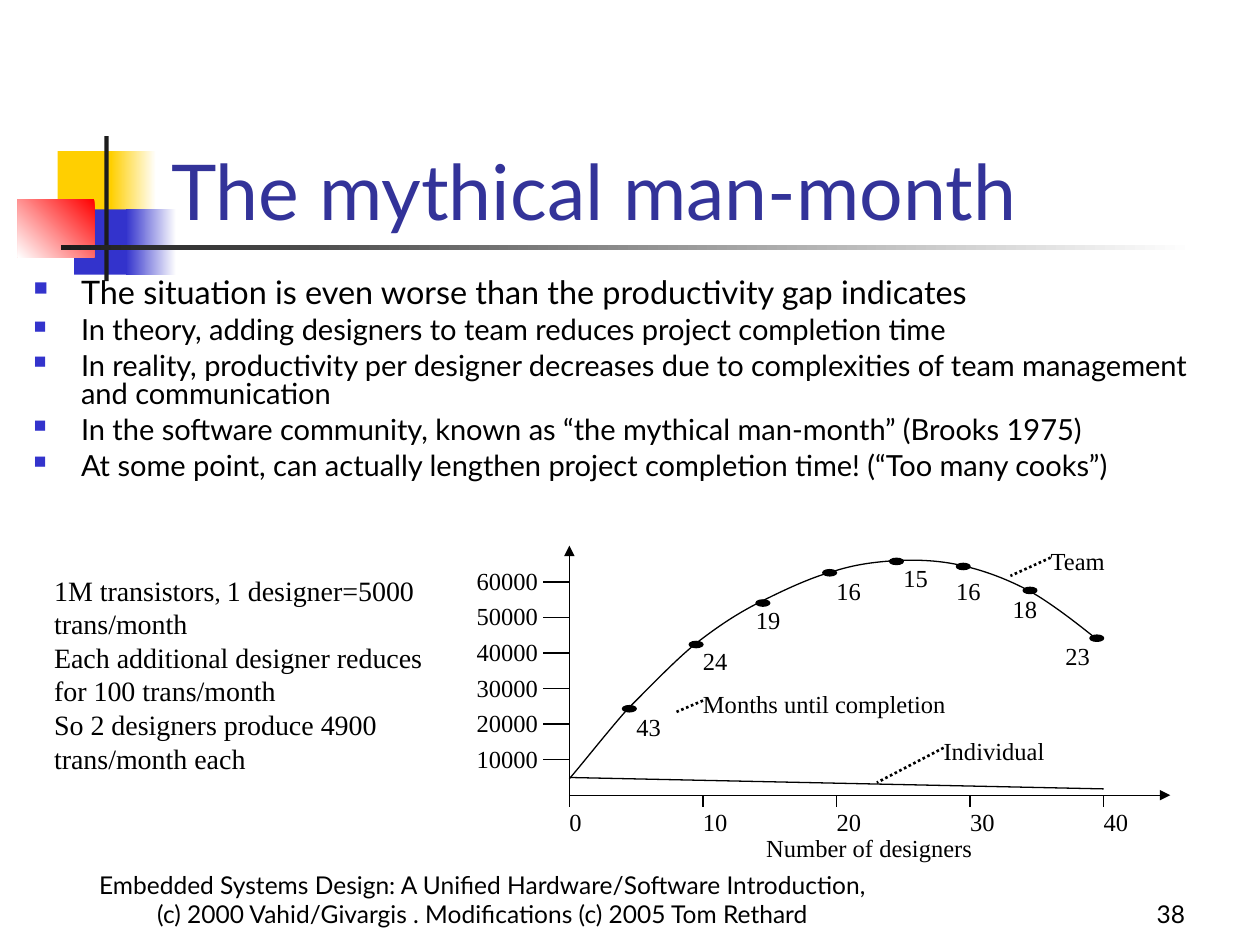
from lxml import etree
from pptx import Presentation
from pptx.dml.color import RGBColor
from pptx.enum.dml import MSO_LINE
from pptx.enum.shapes import MSO_CONNECTOR, MSO_SHAPE
from pptx.enum.text import MSO_ANCHOR, PP_ALIGN
from pptx.oxml.ns import qn
from pptx.util import Pt

RECT, OVAL = MSO_SHAPE.RECTANGLE, MSO_SHAPE.OVAL
STRAIGHT = MSO_CONNECTOR.STRAIGHT
DOTTED = MSO_LINE.ROUND_DOT
TOP, BOTTOM = MSO_ANCHOR.TOP, MSO_ANCHOR.BOTTOM
LEFT, CENTER, RIGHT = PP_ALIGN.LEFT, PP_ALIGN.CENTER, PP_ALIGN.RIGHT

SANS, SERIF = "Lato", "Times New Roman"
BLACK, WHITE, CHARCOAL = "000000", "FFFFFF", "1C1C1C"
YELLOW, BLUE, RED, TITLE_BLUE = "FFCF01", "3333CC", "FF0000", "333399"
LABEL_H = 13.7

# Months until completion: dot top, label left, label top, alignment
TEAM_POINTS = [
    ("43", 91.4, 117.4, 95, LEFT), ("24", 54.7, 155.5, 57.6, LEFT),
    ("19", 31, 185.8, 33.8, LEFT), ("16", 13.7, 231.8, 17.3, LEFT),
    ("15", 7.2, 270, 10.1, LEFT), ("16", 10.1, 300.2, 17.3, LEFT),
    ("18", 23.8, 316.1, 27.4, RIGHT), ("23", 51.1, 346.3, 54.7, RIGHT),
]
# Start, then two control points and an end for each Bézier segment
TEAM_CURVE = [
    (79.2, 133.2),
    (85, 126.7), (100.8, 106.6), (112.3, 93.6),
    (124.6, 81.4), (139, 66.2), (151.2, 56.2),
    (164.2, 46.1), (175, 38.9), (187.9, 32.4),
    (200.9, 25.9), (216, 18.7), (229, 15.1),
    (241.9, 10.8), (253.4, 9.4), (265.7, 8.6),
    (278.6, 7.9), (291.6, 8.6), (303.8, 11.5),
    (316.8, 14.4), (329.8, 19.4), (342, 25.9),
    (355, 33.1), (372.2, 46.8), (379.4, 52.6),
]
# Label, left, top, width, end of its dotted leader
CALLOUTS = [
    ("Team", 354.2, 0, 84.2, (331.2, 17.3)),
    ("Individual", 293, 108.7, 91.4, (254.9, 135.4)),
    ("Months until completion", 155.5, 81.7, 213.8, (140.4, 95)),
]


def color(value):
    return RGBColor.from_string(value)


def add_block(shapes, kind, box, fill, fade=None, angle=0):
    block = shapes.add_shape(kind, *map(Pt, box))
    block.shadow.inherit = False
    block.line.fill.background()
    if fade:
        block.fill.gradient()
        block.fill.gradient_angle = angle
        for stop, value in zip(block.fill.gradient_stops, (fill, fade)):
            stop.color.rgb = color(value)
    else:
        block.fill.solid()
        block.fill.fore_color.rgb = color(fill)
    return block


def add_line(shapes, start, end, width=0.75, arrow=False):
    line = shapes.add_connector(STRAIGHT, *map(Pt, (*start, *end)))
    line.line.color.rgb = color(BLACK)
    line.line.width = Pt(width)
    if arrow:
        etree.SubElement(line.line._get_or_add_ln(), qn("a:tailEnd"), type="triangle")
    etree.SubElement(line._element.spPr, qn("a:effectLst"))
    return line


def add_text(shapes, box, paragraphs, font, tint=BLACK, align=LEFT,
             anchor=TOP, inset=(7.2, 3.6)):
    """Each paragraph is a list of (text, size) runs."""
    text = shapes.add_textbox(*map(Pt, box))
    frame = text.text_frame
    frame.word_wrap = True
    frame.vertical_anchor = anchor
    frame.margin_left = frame.margin_right = Pt(inset[0])
    frame.margin_top = frame.margin_bottom = Pt(inset[1])
    for i, runs in enumerate(paragraphs):
        paragraph = frame.paragraphs[0] if i == 0 else frame.add_paragraph()
        paragraph.alignment = align
        for wording, size in runs:
            run = paragraph.add_run()
            run.text = wording
            run.font.name = font
            run.font.size = Pt(size)
            run.font.color.rgb = color(tint)
    return text


def add_label(shapes, x, y, width, wording, align=LEFT):
    return add_text(shapes, (x, y, width, LABEL_H), [[(wording, 14)]], SERIF,
                    align=align, inset=(0, 0))


def draw_emblem(shapes, x, y):
    # Coloured squares, then the crossing bars
    add_block(shapes, RECT, (x + 23, y + 8.6, 34.6, 37.4), YELLOW)
    add_block(shapes, RECT, (x + 53.3, y + 8.6, 25.9, 37.4), WHITE, YELLOW, 180)
    add_block(shapes, RECT, (x + 32.4, y + 41.8, 33.1, 37.4), BLUE)
    add_block(shapes, RECT, (x + 61.9, y + 41.8, 28.8, 37.4), WHITE, BLUE, 180)
    add_block(shapes, RECT, (x, y + 36, 43.9, 33.1), RED, WHITE, 225)
    add_block(shapes, RECT, (x + 49.7, y, 2.5, 82.8), CHARCOAL)
    add_block(shapes, RECT, (x + 24.8, y + 62.4, 648, 2.5), WHITE, CHARCOAL, 180)


def draw_bullets(shapes, box):
    points = [
        ("The situation is even worse than the productivity gap indicates", 18.5),
        ("In theory, adding designers to team reduces project completion time", 16.6),
        ("In reality, productivity per designer decreases due to complexities of "
         "team management and communication", 16.6),
        ("In the software community, known as “the mythical man-month” "
         "(Brooks 1975)", 16.6),
        ("At some point, can actually lengthen project completion time! "
         "(“Too many cooks”)", 16.6),
    ]
    body = add_text(shapes, box, [[point] for point in points], SANS)
    for i, paragraph in enumerate(body.text_frame.paragraphs):
        props = paragraph._p.get_or_add_pPr()
        props.set("marL", str(Pt(27)))
        props.set("indent", str(Pt(-27)))
        tint = etree.SubElement(props, qn("a:buClr"))
        etree.SubElement(tint, qn("a:srgbClr"), val=BLUE)
        etree.SubElement(props, qn("a:buSzPct"), val="60000")
        etree.SubElement(props, qn("a:buChar"), char="■")
        paragraph.line_spacing = 0.8
        if i:
            paragraph.space_before = Pt(4.5)


def draw_team_curve(shapes, x, y):
    points = [(Pt(x + px), Pt(y + py)) for px, py in TEAM_CURVE]
    builder = shapes.build_freeform(*points[0])
    builder.add_line_segments(points[1:], close=False)
    curve = builder.convert_to_shape()
    curve.shadow.inherit = False
    curve.fill.background()
    curve.line.color.rgb = color(BLACK)
    curve.line.width = Pt(0.75)
    # Every three straight steps become one Bézier segment
    steps = list(curve._element.iter(qn("a:lnTo")))
    for i in range(0, len(steps), 3):
        bezier = etree.Element(qn("a:cubicBezTo"))
        steps[i].addprevious(bezier)
        for step in steps[i:i + 3]:
            bezier.append(step[0])
            step.getparent().remove(step)


def draw_productivity_graph(slide, x, y):
    shapes = slide.shapes.add_group_shape().shapes
    x0, y0 = x + 79.2, y + 142.6
    x_step, y_step = 76.32, 20.3
    # Axes with ticks
    add_line(shapes, (x0, y0), (x0 + 343.4, y0), arrow=True)
    add_line(shapes, (x0, y0), (x0, y), arrow=True)
    for i in range(5):
        tick = x0 + i * x_step
        add_line(shapes, (tick, y0), (tick, y0 + 6.5))
        add_label(shapes, tick, y0 + 6.5, 30.4, str(i * 10))
    for i in range(1, 7):
        tick = y0 - i * y_step
        add_line(shapes, (x0, tick), (x0 - 15.1, tick))
        add_label(shapes, x, tick - 9.2, 61.2, str(i * 10000), RIGHT)
    add_label(shapes, x + 86.4, y + 164.2, 328.3, "Number of designers", CENTER)
    # Individual and team output
    add_line(shapes, (x0, y + 132.5), (x0 + 4 * x_step, y + 139))
    draw_team_curve(shapes, x, y)
    for i, (months, dot_top, left, top, align) in enumerate(TEAM_POINTS, 1):
        dot = add_block(shapes, OVAL, (x0 + i * x_step / 2 - 7.9, y + dot_top, 7.9, 3.6),
                        BLACK)
        dot.line.color.rgb = color(BLACK)
        dot.line.width = Pt(0.75)
        add_label(shapes, x + left, y + top, 30.4, months, align)
    # Callouts with dotted leaders
    for wording, left, top, width, (end_x, end_y) in CALLOUTS:
        label = add_label(shapes, x + left, y + top, width, wording)
        leader = add_line(shapes, (x + left, y + top + LABEL_H / 2),
                          (x + end_x, y + end_y), 1.5)
        leader.line.dash_style = DOTTED
        leader.begin_connect(label, 1)


def draw_footer(shapes, x, y, height):
    credit = ("Embedded Systems Design: A Unified Hardware/Software Introduction, "
              "(c) 2000 Vahid/Givargis . Modifications (c) 2005 Tom Rethard")
    add_text(shapes, (x, y, 468, height), [[(credit, 14)]], SANS,
             align=CENTER, anchor=BOTTOM)
    add_text(shapes, (x + 492.5, y, 150, height), [[("38", 14)]], SANS,
             align=RIGHT, anchor=BOTTOM)


def main():
    deck = Presentation()
    deck.slide_width, deck.slide_height = Pt(720), Pt(540)
    slide = deck.slides.add_slide(deck.slide_layouts[6])
    shapes = slide.shapes
    draw_emblem(shapes, 10, 77.8)
    add_text(shapes, (90.7, 48.2, 613.4, 90), [[("The mythical man-month", 44)]],
             SANS, TITLE_BLUE, anchor=BOTTOM)
    draw_bullets(shapes, (12.2, 156.2, 689.8, 126))
    draw_productivity_graph(slide, 246.2, 311.8)
    # Worked example beside the graph
    add_text(shapes, (23.8, 324, 234, 131.8), [
        [("1M transistors", 16), (", ", 14), ("1 designer=5000 trans/month", 16)],
        [("Each additional designer reduces for 100 trans/month", 16)],
        [("So 2 designers produce 4900 trans/month each", 16)],
    ], SERIF)
    draw_footer(shapes, 41.8, 498.2, 36)
    deck.save("out.pptx")


if __name__ == "__main__":
    main()
